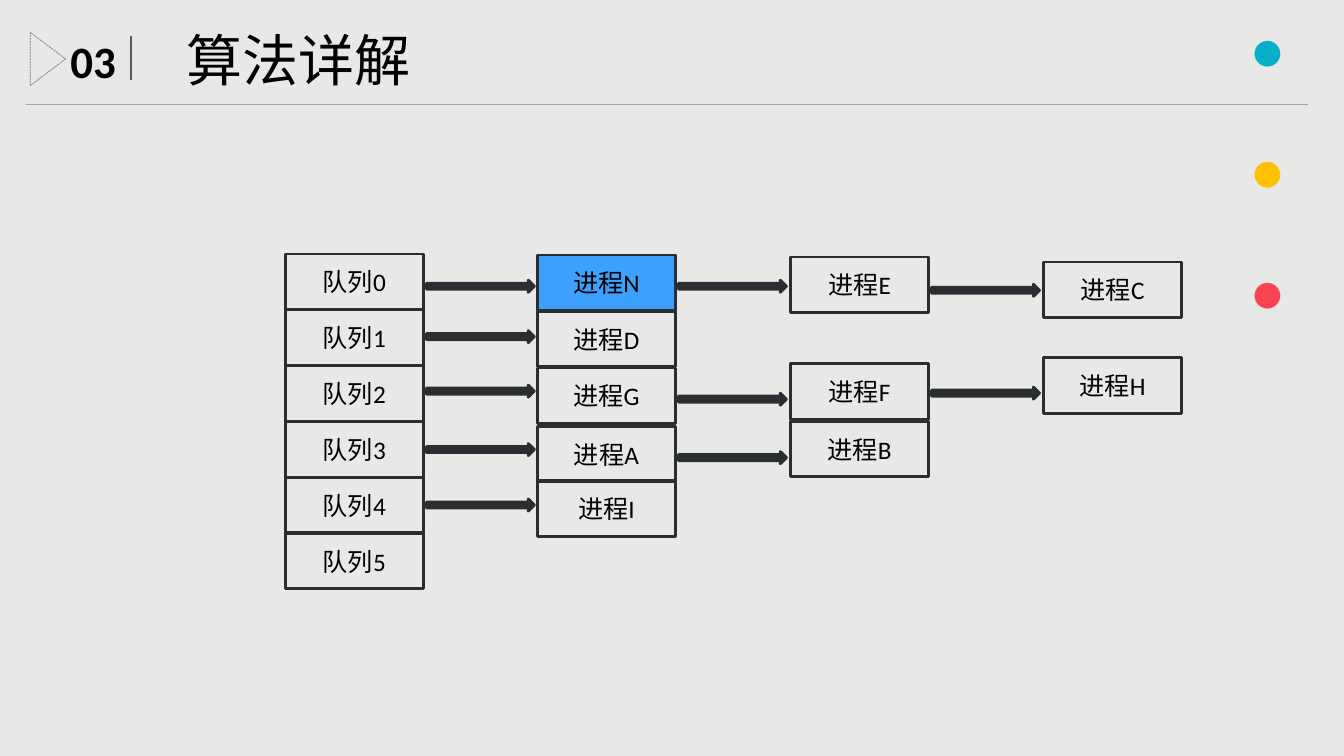
from lxml import etree
from pptx import Presentation
from pptx.dml.color import RGBColor
from pptx.enum.dml import MSO_LINE
from pptx.enum.shapes import MSO_CONNECTOR, MSO_SHAPE as SHAPE
from pptx.enum.text import MSO_ANCHOR, PP_ALIGN
from pptx.oxml.ns import qn
from pptx.util import Inches, Pt

# Content
NUMBER, TITLE = "03", "算法详解"
DOTS = [("· ", "05AFC8"), ("· ", "FFC000"), ("·", "FA4453")]
RULES = [  # x1, y1, x2, y2, colour, weight
    (1.3, 0.79, 1.3, 0.36, "595959", 1.5),
    (0.26, 1.04, 12.97, 1.04, "A5A5A5", 0.75),
]
QUEUES = [  # queue, then its processes: name, box top, incoming arrow top
    ("队列0", [("进程N", 2.53, 2.78), ("进程E", 2.55, 2.78), ("进程C", 2.6, 2.82)]),
    ("队列1", [("进程D", 3.09, 3.28)]),
    ("队列2", [("进程G", 3.65, 3.82), ("进程F", 3.61, 3.9), ("进程H", 3.55, 3.84)]),
    ("队列3", [("进程A", 4.23, 4.4), ("进程B", 4.18, 4.48)]),
    ("队列4", [("进程I", 4.77, 4.95)]),
    ("队列5", []),
]
RUNNING = "进程N"
INK, HIGHLIGHT, BLACK = "2B2E30", "3CA0FE", "000000"
CJK, LATIN = "Noto Sans CJK SC", "Calibri"

# Grid
COLUMNS = [2.83, 5.33, 7.84, 10.35]
QUEUE_TOP, QUEUE_STEP = 2.52, 0.554
BOX_W, BOX_H = 1.37, 0.55
ARROW_W, ARROW_H, ARROW_OFFSET = 1.07, 0.12, 1.4

prs = Presentation()
prs.slide_width, prs.slide_height = Inches(13.33), Inches(7.5)
slide = prs.slides.add_slide(prs.slide_layouts[6])


def color(hex_code):
    return RGBColor.from_string(hex_code)


def style_run(run, size, hex_code, latin, asian, bold=False):
    run.font.size, run.font.bold, run.font.name = Pt(size), bold, latin
    run.font.color.rgb = color(hex_code)
    etree.SubElement(run.font._element, qn("a:ea")).set("typeface", asian)


def add_preset(kind, left, top, width, height, line, weight, fill=None):
    shape = slide.shapes.add_shape(
        kind, Inches(left), Inches(top), Inches(width), Inches(height))
    shape.shadow.inherit = False
    if fill:
        shape.fill.solid()
        shape.fill.fore_color.rgb = color(fill)
    else:
        shape.fill.background()
    shape.line.color.rgb = color(line)
    shape.line.width = Pt(weight)
    return shape


def add_box(label, left, top, fill=None):
    box = add_preset(SHAPE.RECTANGLE, left, top, BOX_W, BOX_H, INK, 2, fill)
    frame = box.text_frame
    frame.text = label
    frame.vertical_anchor = MSO_ANCHOR.MIDDLE
    frame.paragraphs[0].alignment = PP_ALIGN.CENTER
    style_run(frame.paragraphs[0].runs[0], 18, BLACK, LATIN, CJK)


def add_text(left, top, width, height, wrap=True):
    frame = slide.shapes.add_textbox(
        Inches(left), Inches(top), Inches(width), Inches(height)).text_frame
    frame.word_wrap = wrap
    return frame


# Background and header
slide.background.fill.solid()
slide.background.fill.fore_color.rgb = color("E8E8E6")

marker = add_preset(SHAPE.FLOWCHART_MERGE, 0.21, 0.41, 0.53, 0.35, "7F7F7F", 0.5)
marker.rotation = 270
marker.line.dash_style = MSO_LINE.SQUARE_DOT

for x1, y1, x2, y2, hex_code, weight in RULES:
    rule = slide.shapes.add_connector(
        MSO_CONNECTOR.STRAIGHT, Inches(x1), Inches(y1), Inches(x2), Inches(y2))
    rule.line.color.rgb = color(hex_code)
    rule.line.width = Pt(weight)
    etree.SubElement(rule._element.spPr, qn("a:effectLst"))

number = add_text(0.6, 0.29, 1.02, 0.64)
number.text = NUMBER
style_run(number.paragraphs[0].runs[0], 32, BLACK, LATIN, CJK, bold=True)

title = add_text(1.75, 0.2, 2.45, 0.77, wrap=False)
title.text = TITLE
style_run(title.paragraphs[0].runs[0], 40, BLACK, "Noto Sans CJK JP", "Noto Sans CJK JP")

# Coloured dots, wrapped one to a line
dots = add_text(10.97, -0.13, 2.2, 1.38).paragraphs[0]
dots.alignment = PP_ALIGN.RIGHT
for dot, hex_code in DOTS:
    run = dots.add_run()
    run.text = dot
    style_run(run, 72, hex_code, CJK, CJK, bold=True)

# Queues, each with its chain of processes
for row, (queue, processes) in enumerate(QUEUES):
    add_box(queue, COLUMNS[0], QUEUE_TOP + row * QUEUE_STEP)
    for col, (process, top, arrow_top) in enumerate(processes, start=1):
        add_preset(SHAPE.RIGHT_ARROW, COLUMNS[col - 1] + ARROW_OFFSET, arrow_top,
                   ARROW_W, ARROW_H, INK, 2, fill=INK)
        add_box(process, COLUMNS[col], top, HIGHLIGHT if process == RUNNING else None)

prs.save("out.pptx")
